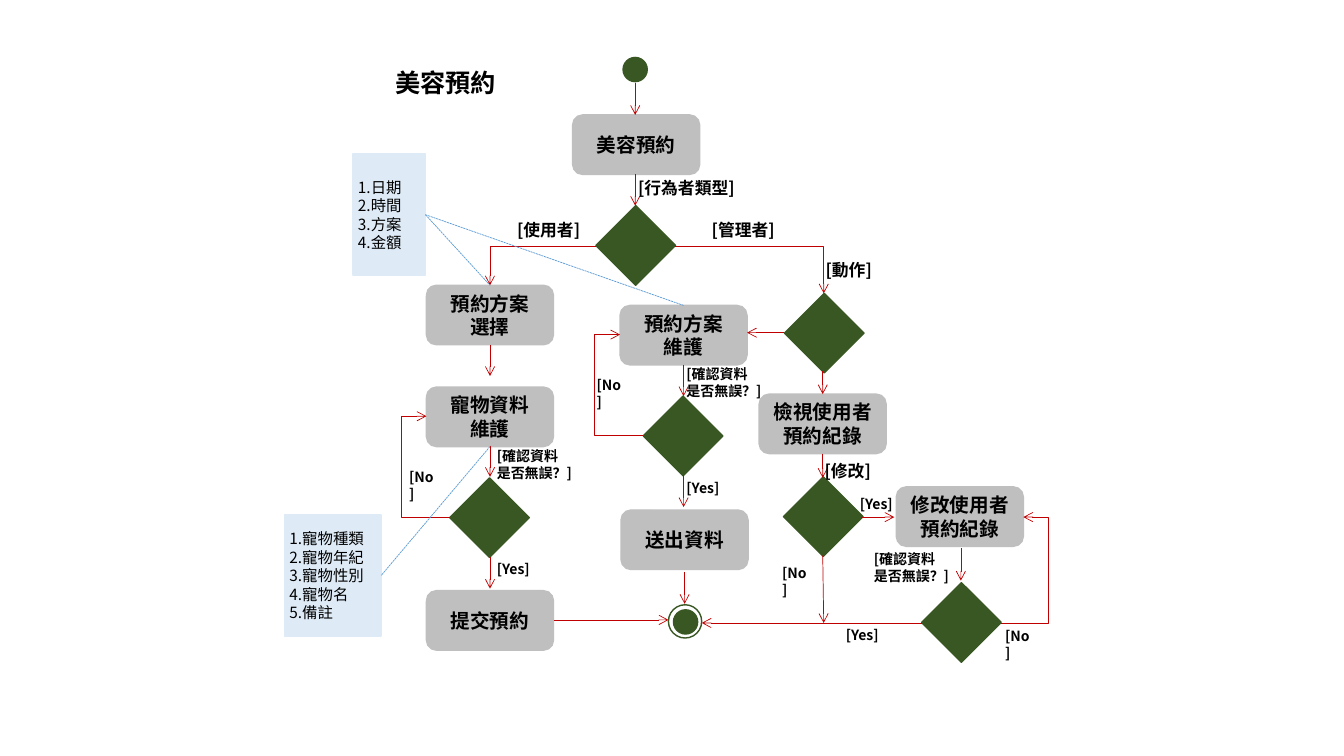
from dataclasses import dataclass

from lxml.etree import SubElement
from pptx import Presentation
from pptx.dml.color import RGBColor
from pptx.enum.dml import MSO_LINE
from pptx.enum.shapes import MSO_CONNECTOR, MSO_SHAPE
from pptx.enum.text import MSO_ANCHOR, PP_ALIGN
from pptx.oxml.ns import qn
from pptx.util import Inches, Pt

COLORS = {
    "ink": "000000",
    "activity": "BFBFBF",
    "decision": "385723",
    "note": "DEEBF7",
    "flow": "C00000",
    "note_link": "5B9BD5",
}
FONT = "Noto Sans CJK SC"
ACTIVITY_WIDTH, ACTIVITY_HEIGHT = 1.26, 0.59
DECISION_SIZE = 0.79
DOT_SIZE, RING_SIZE = 0.24, 0.33
NOTE_HEIGHT = 1.2
CONFIRM = "[確認資料\n是否無誤？]"


@dataclass(frozen=True)
class Activity:
    text: str
    left: float
    top: float


@dataclass(frozen=True)
class Decision:
    left: float
    top: float


@dataclass(frozen=True)
class Label:
    text: str
    left: float
    top: float
    width: float
    height: float = 0.27
    size: int = 10


@dataclass(frozen=True)
class Note:
    text: str
    left: float
    top: float
    width: float


@dataclass(frozen=True)
class Link:
    start: tuple[float, float]
    end: tuple[float, float]
    bend: str = ""
    turn: float = 0


ACTIVITIES = [
    Activity("美容預約", 5.68, 1.14),
    Activity("預約方案\n選擇", 4.23, 2.83),
    Activity("預約方案\n維護", 6.15, 3.03),
    Activity("檢視使用者預約紀錄", 7.53, 3.91),
    Activity("寵物資料\n維護", 4.23, 3.84),
    Activity("修改使用者預約紀錄", 8.89, 4.83),
    Activity("提交預約", 4.23, 5.86),
    Activity("送出資料", 6.16, 5.06),
]
DECISIONS = [
    Decision(5.91, 2.04),
    Decision(7.78, 2.91),
    Decision(4.46, 4.74),
    Decision(7.77, 4.73),
    Decision(9.14, 5.78),
    Decision(6.38, 3.93),
]
FLOWS = [
    Link((6.3, 0.82), (6.3, 1.14)),
    Link((6.3, 1.73), (6.3, 2.04)),
    Link((6.69, 2.44), (8.17, 2.91), "bentConnector2"),
    Link((5.91, 2.44), (4.86, 2.83), "bentConnector2"),
    Link((4.86, 3.42), (4.86, 3.73)),
    Link((4.86, 4.42), (4.86, 4.73)),
    Link((4.86, 5.53), (4.86, 5.84)),
    Link((4.46, 5.13), (4.23, 4.13), "bentConnector3", 2.09),
    Link((8.16, 3.68), (8.16, 3.91)),
    Link((7.78, 3.3), (7.41, 3.3)),
    Link((8.16, 4.5), (8.16, 4.74)),
    Link((8.54, 5.13), (8.87, 5.13)),
    Link((8.16, 5.51), (8.17, 6.18)),
    Link((9.53, 5.44), (9.53, 5.76)),
    Link((9.93, 6.18), (10.15, 5.13), "bentConnector3", 2.11),
    Link((6.78, 3.62), (6.78, 3.93)),
    Link((6.78, 4.71), (6.78, 5.03)),
    Link((6.79, 5.67), (6.79, 5.99)),
    Link((6.38, 4.32), (6.15, 3.32), "bentConnector3", 2.1),
    Link((9.14, 6.18), (6.96, 6.18)),
    Link((5.49, 6.15), (6.63, 6.15)),
]
LABELS = [
    Label("美容預約", 3.82, 0.62, 1.21, 0.4, 18),
    Label("[行為者類型]", 6.23, 1.71, 1.21, 0.3, 12),
    Label("[使用者]", 5.03, 2.13, 0.88, 0.3, 12),
    Label("[管理者]", 6.96, 2.13, 0.88, 0.3, 12),
    Label("[動作]", 8.09, 2.53, 0.71, 0.3, 12),
    Label("[修改]", 8.08, 4.52, 0.71, 0.3, 12),
    *(Label("[No]", left, top, 0.48)
      for left, top in [(5.82, 3.69), (3.96, 4.6), (7.66, 5.55), (9.87, 6.18)]),
    *(Label("[Yes]", left, top, 0.55)
      for left, top in [(6.71, 4.71), (4.83, 5.51), (8.29, 6.17), (8.43, 4.87)]),
    *(Label(CONFIRM, left, top, 0.97, 0.44)
      for left, top in [(4.83, 4.39), (8.57, 5.41), (6.71, 3.58)]),
]
NOTES = [
    Note("1.日期\n2.時間\n3.方案\n4.金額", 3.5, 1.53, 0.72),
    Note("1.寵物種類\n2.寵物年紀\n3.寵物性別\n4.寵物名\n5.備註", 2.82, 5.11, 0.96),
]
NOTE_LINKS = [
    Link((4.22, 2.13), (4.86, 2.83)),
    Link((4.22, 2.13), (6.78, 3.03)),
    Link((4.86, 4.43), (3.78, 5.71)),
]


def color(name: str) -> RGBColor:
    return RGBColor.from_string(COLORS[name])


def write_text(box, text: str, *, size: int, bold: bool = True,
               align=PP_ALIGN.LEFT, anchor=MSO_ANCHOR.TOP, inset: float | None = None) -> None:
    frame = box.text_frame
    frame.word_wrap = True
    frame.vertical_anchor = anchor
    if inset is not None:
        frame.margin_left = frame.margin_right = Inches(inset)
        frame.margin_top = frame.margin_bottom = Inches(inset)
    frame.text = text
    for para in frame.paragraphs:
        para.alignment = align
        for span in para.runs:
            span.font.size = Pt(size)
            span.font.bold = bold
            span.font.name = FONT
            span.font.color.rgb = color("ink")
            SubElement(span.font._element, qn("a:ea"), typeface=FONT)


def add_box(page, kind, left: float, top: float, width: float, height: float,
            line: str, filled: bool = True):
    box = page.shapes.add_shape(kind, Inches(left), Inches(top), Inches(width), Inches(height))
    box.shadow.inherit = False
    if filled:
        box.fill.solid()
        box.fill.fore_color.rgb = color(line)
    else:
        box.fill.background()
    box.line.color.rgb = color(line)
    box.line.width = Pt(1)
    return box


def add_link(page, link: Link, line: str, arrow: bool) -> None:
    kind = MSO_CONNECTOR.ELBOW if link.bend else MSO_CONNECTOR.STRAIGHT
    connector = page.shapes.add_connector(kind, *map(Inches, link.start + link.end))
    connector.line.color.rgb = color(line)
    connector.line.width = Pt(0.5)
    properties = connector._element.spPr
    if link.bend:
        geometry = properties.find(qn("a:prstGeom"))
        geometry.set("prst", link.bend)
        if link.turn:
            SubElement(geometry.find(qn("a:avLst")), qn("a:gd"),
                       name="adj1", fmla=f"val {round(link.turn * 100000)}")
    if arrow:
        SubElement(connector.line._get_or_add_ln(), qn("a:tailEnd"), type="arrow")
    else:
        connector.line.dash_style = MSO_LINE.SQUARE_DOT
    SubElement(properties, qn("a:effectLst"))


def main() -> None:
    deck = Presentation()
    deck.slide_width, deck.slide_height = Inches(13.33), Inches(7.5)
    page = deck.slides.add_slide(deck.slide_layouts[6])
    for item in ACTIVITIES:
        box = add_box(page, MSO_SHAPE.ROUNDED_RECTANGLE, item.left, item.top,
                      ACTIVITY_WIDTH, ACTIVITY_HEIGHT, "activity")
        write_text(box, item.text, size=14, align=PP_ALIGN.CENTER, anchor=MSO_ANCHOR.MIDDLE)
    for left, top, size, filled in [(6.18, 0.57, DOT_SIZE, True), (6.63, 6, RING_SIZE, False),
                                    (6.68, 6.05, DOT_SIZE, True)]:
        add_box(page, MSO_SHAPE.OVAL, left, top, size, size, "decision", filled)
    for item in DECISIONS:
        add_box(page, MSO_SHAPE.DIAMOND, item.left, item.top,
                DECISION_SIZE, DECISION_SIZE, "decision")
    for link in FLOWS:
        add_link(page, link, "flow", arrow=True)
    for item in LABELS:
        box = page.shapes.add_textbox(*map(Inches, (item.left, item.top, item.width, item.height)))
        write_text(box, item.text, size=item.size)
    for item in NOTES:
        box = add_box(page, MSO_SHAPE.RECTANGLE, item.left, item.top, item.width, NOTE_HEIGHT, "note")
        write_text(box, item.text, size=11, bold=False, anchor=MSO_ANCHOR.MIDDLE, inset=0.05)
    for link in NOTE_LINKS:
        add_link(page, link, "note_link", arrow=False)
    deck.save("out.pptx")


if __name__ == "__main__":
    main()
